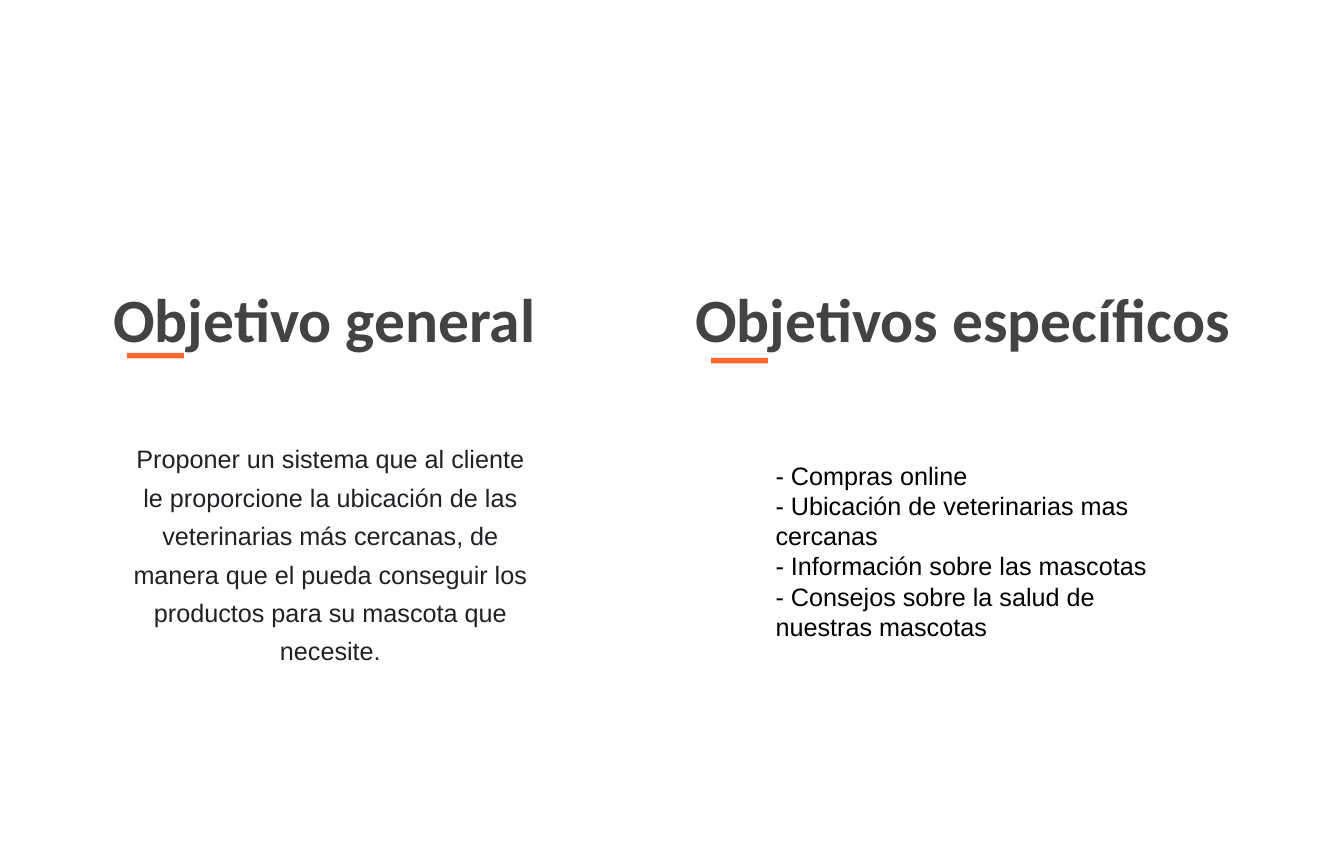
from pptx import Presentation
from pptx.dml.color import RGBColor
from pptx.enum.shapes import MSO_SHAPE
from pptx.enum.text import MSO_ANCHOR, MSO_AUTO_SIZE, PP_ALIGN
from pptx.oxml.ns import qn
from pptx.util import Inches, Pt

COLORS = {"background": "FFFFFF", "heading": "434343", "accent": "FC672D",
          "general": "202124", "specific": "000000"}
HEADING_FONT = {"name": "Calibri", "size": Pt(88), "bold": True}
BODY_FONT = {"name": "Arial", "size": Pt(36), "bold": False}
PLAIN = {"space_before": Pt(0), "space_after": Pt(0)}
HEADING_PARA = {**PLAIN, "alignment": PP_ALIGN.CENTER, "line_spacing": 0.8}
GENERAL_PARA = {**PLAIN, "alignment": PP_ALIGN.CENTER, "line_spacing": 1.27}
SPECIFIC_PARA = {**PLAIN, "alignment": PP_ALIGN.LEFT, "line_spacing": 1.0}

GENERAL = ["Proponer un sistema que al cliente le proporcione la ubicación de las "
           "veterinarias más cercanas, de manera que el pueda conseguir los "
           "productos para su mascota que necesite."]
SPECIFIC = ["- Compras online",
            "- Ubicación de veterinarias mas cercanas",
            "- Información sobre las mascotas",
            "- Consejos sobre la salud de nuestras mascotas"]


def set_format(target, values):
    for name, value in values.items():
        setattr(target, name, value)


def place(shape, box):
    lengths = map(Inches, box)
    set_format(shape, dict(zip(("left", "top", "width", "height"), lengths)))


def fill_text(shape, box, lines, anchor, para_format, font_format, color, indent=(0, 0)):
    """Write lines as unbulleted paragraphs; indent is (margin, first line) in inches."""
    place(shape, box)
    frame = shape.text_frame
    margins = ("margin_left", "margin_top", "margin_right", "margin_bottom")
    set_format(frame, {**dict.fromkeys(margins, Inches(0.08)), "word_wrap": True,
                       "auto_size": MSO_AUTO_SIZE.NONE, "vertical_anchor": anchor})
    frame.text = "\n".join(lines)
    for para in frame.paragraphs:
        set_format(para, para_format)
        properties = para._p.get_or_add_pPr()
        for name, value in zip(("marL", "indent"), indent):
            properties.set(name, str(Inches(value)))
        properties.append(properties.makeelement(qn("a:buNone"), {}))
        for span in para.runs:
            set_format(span.font, font_format)
            span.font.color.rgb = RGBColor.from_string(COLORS[color])


def add_objective(page, box, heading, title, bar_drop, body, body_box, lines,
                  para_format, color):
    """Fill one column; body_box and bar_drop are measured from the box corner."""
    left, top, width, height = box
    fill_text(heading, box, [title], MSO_ANCHOR.BOTTOM, HEADING_PARA,
              HEADING_FONT, "heading", (0.04, 0.01))
    bar = page.shapes.add_shape(MSO_SHAPE.RECTANGLE, 0, 0, 0, 0)
    place(bar, (left + 0.53, top + bar_drop, 1.13, 0.11))
    bar.shadow.inherit = False
    bar.fill.solid()
    bar.fill.fore_color.rgb = RGBColor.from_string(COLORS["accent"])
    bar.line.fill.background()
    shift, drop, body_width, body_height = body_box
    fill_text(body, (left + shift, top + drop, body_width, body_height), lines,
              MSO_ANCHOR.MIDDLE, para_format, BODY_FONT, color)


def main():
    deck = Presentation()
    set_format(deck, {"slide_width": Inches(26.67), "slide_height": Inches(17.22)})
    page = deck.slides.add_slide(deck.slide_layouts.get_by_name("Comparison"))
    page.background.fill.solid()
    page.background.fill.fore_color.rgb = RGBColor.from_string(COLORS["background"])
    holders = {holder.placeholder_format.idx: holder for holder in page.placeholders}
    unused = holders[1].element
    unused.getparent().remove(unused)

    add_objective(page, (1.99, 4.61, 9.12, 2.5), holders[0], "Objetivo general ", 2.39,
                  holders[2], (0.4, 3.46, 8.33, 5.71), GENERAL, GENERAL_PARA, "general")
    add_objective(page, (13.58, 4.61, 11.27, 2.5), holders[3], "Objetivos específicos ", 2.49,
                  holders[4], (1.73, 3.46, 7.81, 5.71), SPECIFIC, SPECIFIC_PARA, "specific")
    deck.save("out.pptx")


if __name__ == "__main__":
    main()
